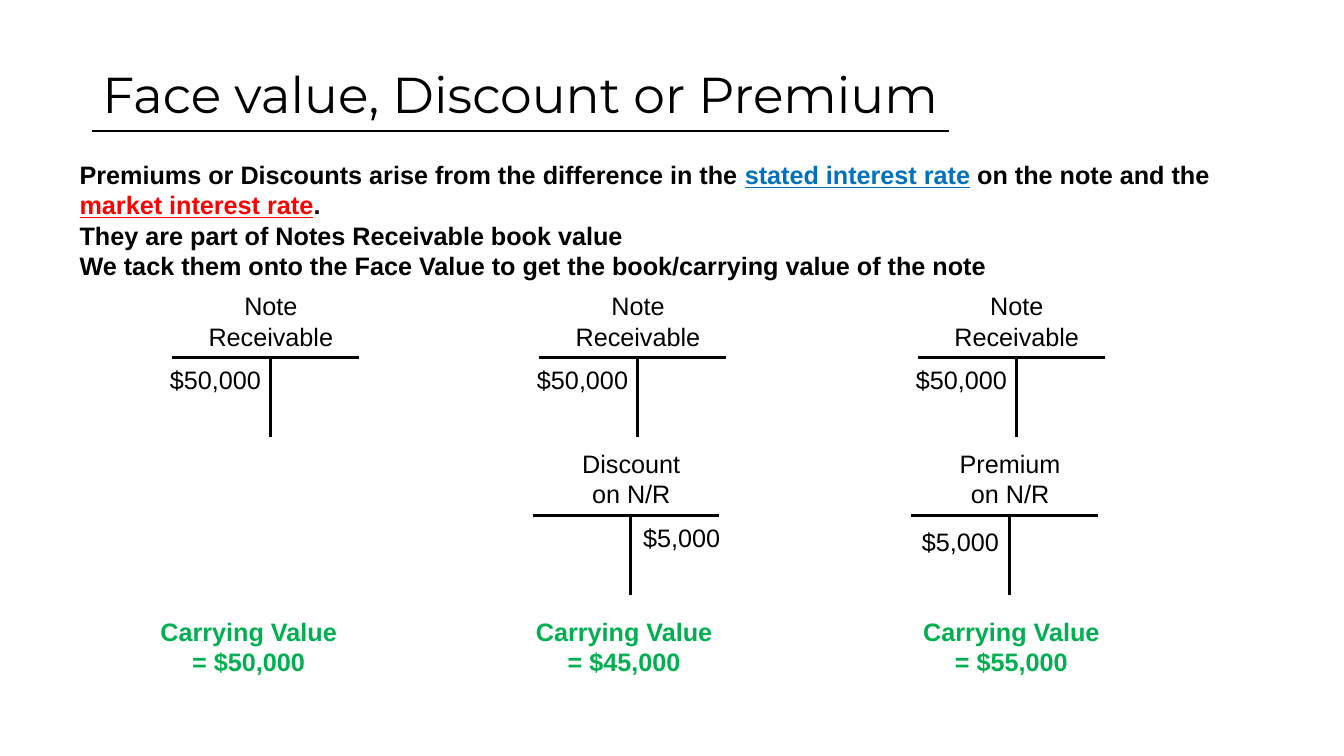
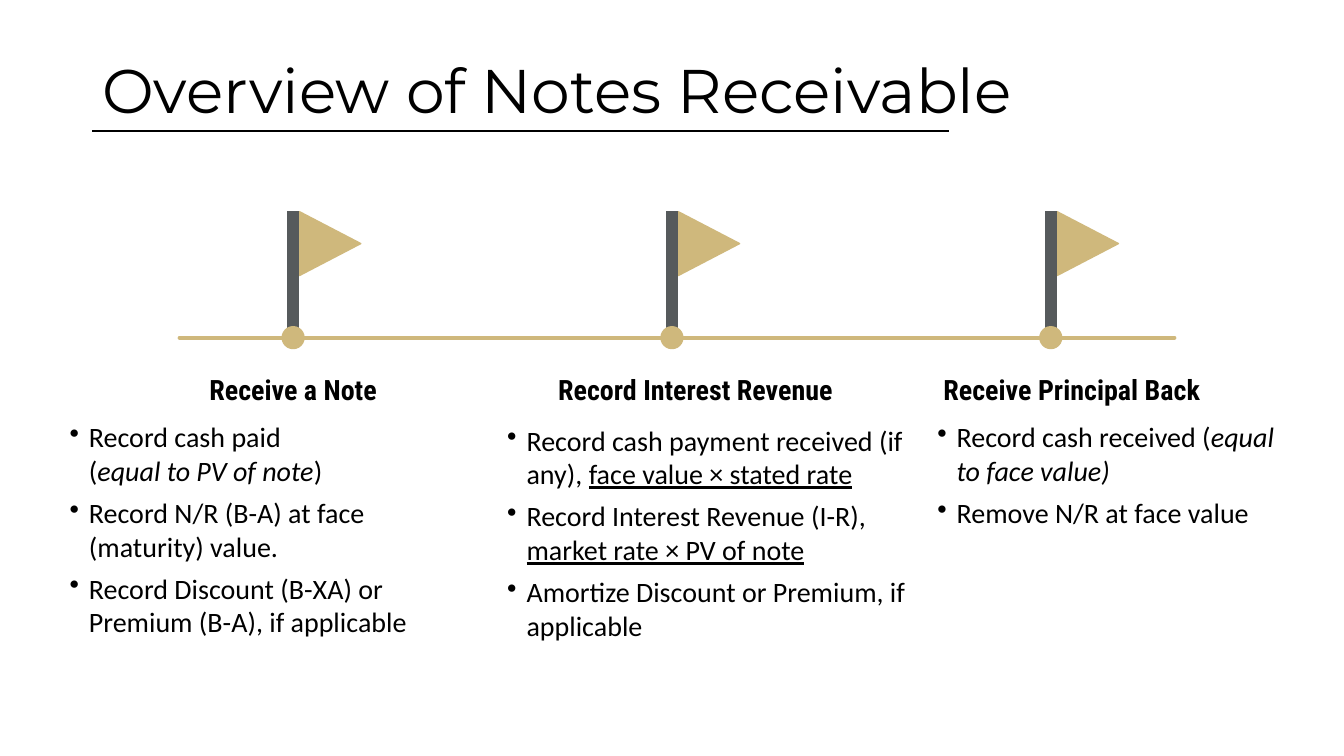
from lxml import etree
from pptx import Presentation
from pptx import util as u
from pptx.dml.color import RGBColor
from pptx.enum import shapes as kinds, text as styles
from pptx.oxml.ns import qn

# Shared look: a grid of 16 columns by 9 rows with square cells
COLUMNS, ROWS = 16, 9
CELL = u.Inches(7.5) / ROWS
BLACK, WHITE, GRAY, GOLD = "000000", "FFFFFF", "565A5C", "CFB87C"
BLUE, RED, GREEN = "0070C0", "FF0000", "00B050"
CENTER = styles.PP_ALIGN.CENTER
MIDDLE = styles.MSO_ANCHOR.MIDDLE


def cells(count):
    return u.Emu(round(count * CELL))


def color(code):
    return RGBColor.from_string(code)


def add_bullet(paragraph):
    properties = paragraph._p.get_or_add_pPr()
    properties.set("marL", str(cells(0.23)))
    properties.set("indent", str(-cells(0.23)))
    etree.SubElement(properties, qn("a:buChar")).set("char", "•")


def add_text(shapes, box, paragraphs, size=18, font="Arial", ink=BLACK, bold=False,
             align=None, anchor=styles.MSO_ANCHOR.TOP, bullet=False,
             after=None, spacing=None):
    """Each paragraph is a string or a list of strings and (string, format) pairs."""
    frame = shapes.add_textbox(*map(cells, box)).text_frame
    frame.word_wrap = True
    frame.vertical_anchor = anchor
    if isinstance(paragraphs, str):
        paragraphs = [paragraphs]
    for index, parts in enumerate(paragraphs):
        paragraph = frame.paragraphs[0] if index == 0 else frame.add_paragraph()
        if bullet:
            add_bullet(paragraph)
        paragraph.alignment = align
        if after is not None:
            paragraph.space_after = u.Pt(after)
        if spacing is not None:
            paragraph.line_spacing = spacing
        for part in [parts] if isinstance(parts, str) else parts:
            words, extra = (part, {}) if isinstance(part, str) else part
            for number, line in enumerate(words.split("\n")):
                if number:
                    paragraph.add_line_break()
                run = paragraph.add_run()
                run.text = line
                run.font.size, run.font.name = u.Pt(size), font
                run.font.bold = bold
                run.font.italic = extra.get("italic")
                run.font.underline = extra.get("underline")
                run.font.color.rgb = color(extra.get("ink", ink))


def add_line(shapes, start, end, ink=BLACK, width=2.25, rounded=False):
    line = shapes.add_connector(kinds.MSO_CONNECTOR.STRAIGHT,
                                *map(cells, (*start, *end)))
    line.line.color.rgb = color(ink)
    line.line.width = u.Pt(width)
    if rounded:
        line.line._get_or_add_ln().set("cap", "rnd")
    etree.SubElement(line._element.spPr, qn("a:effectLst"))


def add_figure(shapes, kind, middle, size, ink, turn=0):
    """Place a filled preset shape around its middle point."""
    corner = [place - length / 2 for place, length in zip(middle, size)]
    shape = shapes.add_shape(kind, *map(cells, (*corner, *size)))
    shape.rotation = turn
    shape.shadow.inherit = False
    shape.fill.solid()
    shape.fill.fore_color.rgb = color(ink)
    shape.line.color.rgb = color(ink)
    shape.line.width = u.Pt(1)


def add_titled_slide(presentation, title, box, size):
    slide = presentation.slides.add_slide(presentation.slide_layouts[6])
    slide.background.fill.solid()
    slide.background.fill.fore_color.rgb = color(WHITE)
    add_line(slide.shapes, (1.1, 1.56), (11.3, 1.56), width=1)
    add_text(slide.shapes, box, title, size=size, font="Montserrat",
             anchor=MIDDLE, spacing=0.9)
    return slide


# Slide 1: T accounts
DEBIT, CREDIT, LOW_DEBIT = (-0.36, 0.02), (0.9, 0.02), (-0.29, 0.07)


def add_t_account(slide, left, top, name, amount, side):
    """The crossbar starts at (left, top); side is the offset of the amount."""
    shapes = slide.shapes.add_group_shape().shapes
    add_line(shapes, (left + 1.17, top), (left + 1.17, top + 0.94))
    add_line(shapes, (left, top), (left + 2.22, top))
    add_text(shapes, (left + 0.3, top - 0.86, 1.75, 0.85), name, align=CENTER)
    add_text(shapes, (left + side[0], top + side[1], 1.75, 0.48), amount, align=CENTER)


def add_carrying_value(slide, middle, amount):
    add_text(slide.shapes, (middle - 1.18, 7.28, 2.36, 0.85),
             f"Carrying Value = {amount}", ink=GREEN, bold=True, align=CENTER)


def build_face_value(presentation):
    slide = add_titled_slide(presentation, "Face value, Discount or Premium",
                             (1.1, 0.41, 11.68, 1.5), 36)
    add_text(slide.shapes, (0.83, 1.84, 14.28, 1.57), [
        ["Premiums or Discounts arise from the difference in the ",
         ("stated interest rate", {"ink": BLUE, "underline": True}),
         " on the note and the ",
         ("market interest rate", {"ink": RED, "underline": True}), "."],
        "They are part of Notes Receivable book value",
        "We tack them onto the Face Value to get the book/carrying value of the note",
    ], bold=True)
    # Account left, carrying value middle and amount, adjusting account
    cases = [
        (2.05, 2.96, "$50,000", None),
        (6.42, 7.43, "$45,000", ("Discount on N/R", "$5,000", CREDIT)),
        (10.93, 12.04, "$55,000", ("Premium on N/R", "$5,000", LOW_DEBIT)),
    ]
    for left, middle, carrying, adjustment in cases:
        add_t_account(slide, left, 4.26, "Note Receivable", "$50,000", DEBIT)
        if adjustment:
            add_t_account(slide, left - 0.08, 6.14, *adjustment)
        add_carrying_value(slide, middle, carrying)


# Slide 2: timeline of flags
TIMELINE = 4.02


def add_flag(slide, post):
    shapes = slide.shapes.add_group_shape().shapes
    add_figure(shapes, kinds.MSO_SHAPE.ISOSCELES_TRIANGLE,
               (post + 0.44, TIMELINE - 1.12), (0.76, 0.73), GOLD, turn=90)
    add_line(shapes, (post, TIMELINE - 0.04), (post, TIMELINE - 1.51), GRAY, 8.5)
    add_figure(shapes, kinds.MSO_SHAPE.OVAL, (post, TIMELINE), (0.26, 0.26), GOLD)


def add_stage(slide, heading, middle, box, steps):
    add_text(slide.shapes, (middle - 1.95, 4.37, 3.9, 0.53), heading, size=20,
             font="Roboto Condensed", bold=True, align=CENTER)
    add_text(slide.shapes, box, steps, size=20, font="Calibri", bullet=True, after=6)


def build_overview(presentation):
    slide = add_titled_slide(presentation, "Overview of Notes Receivable",
                             (1.1, 0.24, 13.8, 1.74), 44)
    add_line(slide.shapes, (2.14, TIMELINE), (13.98, TIMELINE), GOLD, 3, rounded=True)
    italic, underline = {"italic": True}, {"underline": True}
    stages = [
        ("Receive a Note", 3.49, (0.71, 4.94, 5.03, 2.75), [
            ["Record cash paid\n(", ("equal to PV of note", italic), ")"],
            "Record N/R (B-A) at face (maturity) value.",
            "Record Discount (B-XA) or Premium (B-A), if applicable"]),
        ("Record Interest Revenue", 8.28, (5.92, 4.98, 5.03, 2.75), [
            ["Record cash payment received (if any), ",
             ("face value × stated rate", underline)],
            ["Record Interest Revenue (I-R), ", ("market rate × PV of note", underline)],
            "Amortize Discount or Premium, if applicable"]),
        ("Receive Principal Back", 12.76, (11.04, 4.94, 4.31, 1.43), [
            ["Record cash received (", ("equal to face value)", italic)],
            "Remove N/R at face value"]),
    ]
    for index, stage in enumerate(stages):
        add_flag(slide, 3.49 + index * 4.51)
        add_stage(slide, *stage)


def main():
    presentation = Presentation()
    presentation.slide_width = cells(COLUMNS)
    presentation.slide_height = cells(ROWS)
    build_face_value(presentation)
    build_overview(presentation)
    presentation.save("out.pptx")


if __name__ == "__main__":
    main()
